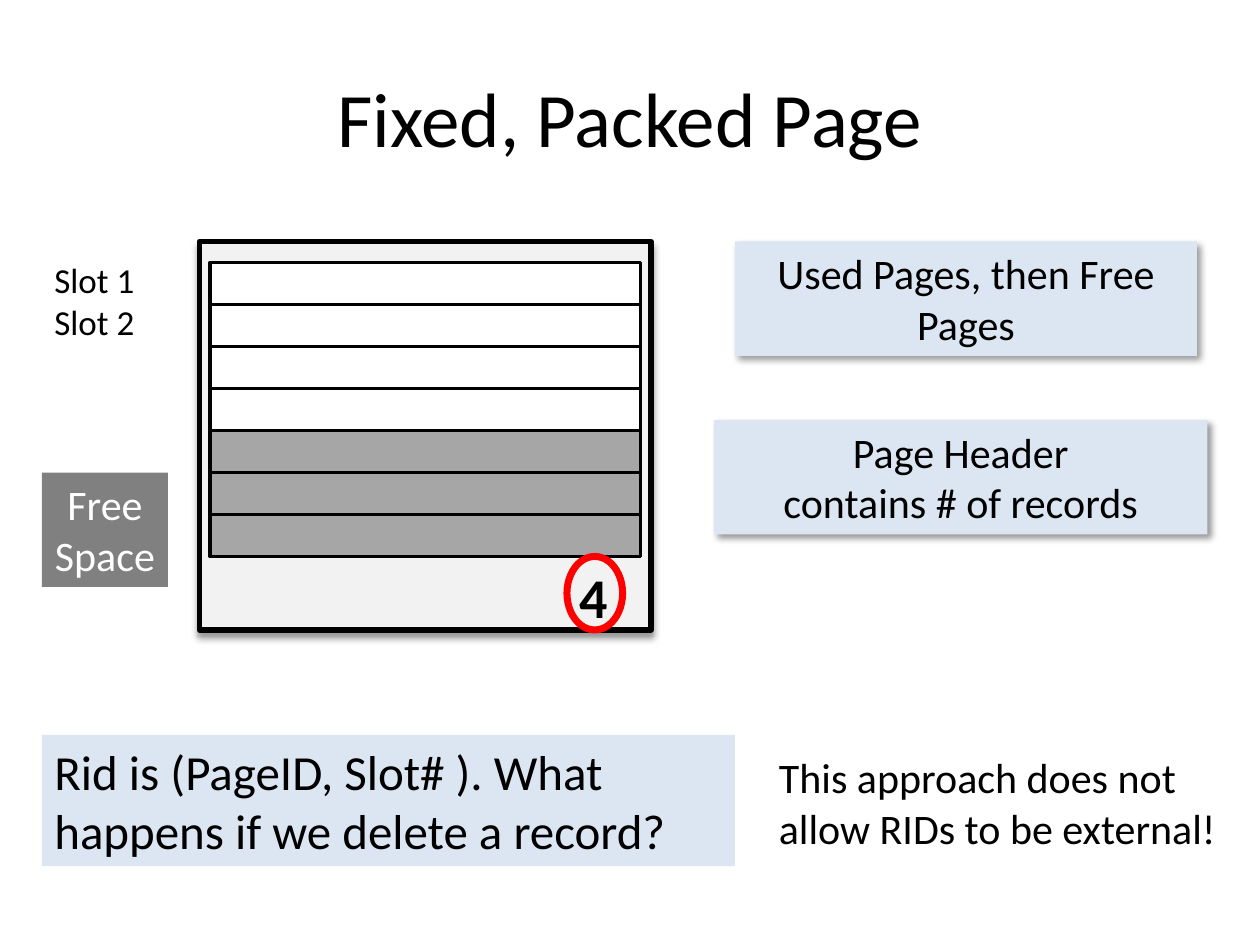
"""Build the slide on fixed, packed pages, laid out on a grid of 120 columns and 90 rows."""
from dataclasses import dataclass, field
from typing import Optional

from lxml.etree import SubElement
from pptx import Presentation
from pptx.dml.color import RGBColor
from pptx.enum.shapes import MSO_SHAPE
from pptx.enum.text import MSO_ANCHOR, PP_ALIGN
from pptx.oxml.ns import qn
from pptx.util import Inches, Pt

COLUMNS, ROWS = 120, 90
BLACK, WHITE, RED = "000000", "FFFFFF", "FF0000"
PALE_BLUE, PALE_GREY, FREE_GREY, LABEL_GREY = "DCE6F2", "F2F2F2", "A6A6A6", "808080"
SLOTS, USED, SLOT_ROWS = 7, 4, 4

prs = Presentation()
prs.slide_width, prs.slide_height = Inches(10), Inches(7.5)
s = prs.slides.add_slide(prs.slide_layouts[6])


@dataclass
class Box:
    """A rectangle or ellipse, measured in grid columns and rows."""
    col: float
    row: float
    cols: float
    rows: float
    fill: Optional[str] = None
    line: Optional[str] = None
    weight: float = 0
    shadow_angle: Optional[int] = None
    kind: MSO_SHAPE = MSO_SHAPE.RECTANGLE


@dataclass
class Label:
    """Text with its format; it stands in the given box."""
    box: Box
    lines: list[str]
    font: dict = field(default_factory=dict)
    align: PP_ALIGN = PP_ALIGN.LEFT
    anchor: MSO_ANCHOR = MSO_ANCHOR.TOP


def rgb(value: str) -> RGBColor:
    """Turn a hex string into a colour."""
    return RGBColor.from_string(value)


def place(box: Box) -> tuple[int, int, int, int]:
    """Convert grid measures to slide lengths."""
    w, h = prs.slide_width / COLUMNS, prs.slide_height / ROWS
    return round(box.col * w), round(box.row * h), round(box.cols * w), round(box.rows * h)


def add_shadow(sp, angle: int) -> None:
    """Give a shape a soft black shadow."""
    effects = sp._element.spPr.find(qn("a:effectLst"))
    shadow = SubElement(effects, qn("a:outerShdw"), blurRad=str(Pt(4)), dist=str(Pt(3)),
                        dir=str(angle * 60000), rotWithShape="0")
    colour = SubElement(shadow, qn("a:srgbClr"), val=BLACK)
    SubElement(colour, qn("a:alpha"), val="40000")


def draw_box(box: Box):
    """Draw one box and return its shape."""
    if not (box.fill or box.line):
        return s.shapes.add_textbox(*place(box))
    sp = s.shapes.add_shape(box.kind, *place(box))
    sp.shadow.inherit = False
    if box.fill:
        sp.fill.solid()
        sp.fill.fore_color.rgb = rgb(box.fill)
    else:
        sp.fill.background()
    if box.line:
        sp.line.color.rgb = rgb(box.line)
        sp.line.width = Pt(box.weight)
    else:
        sp.line.fill.background()
    if box.shadow_angle is not None:
        add_shadow(sp, box.shadow_angle)
    return sp


def draw_label(label: Label) -> None:
    """Draw a box with its paragraphs."""
    tf = draw_box(label.box).text_frame
    tf.word_wrap = True
    tf.vertical_anchor = label.anchor
    font = {"name": "Calibri", "size": 24, "color": BLACK} | label.font
    for i, text in enumerate(label.lines):
        p = tf.paragraphs[0] if i == 0 else tf.add_paragraph()
        p.alignment = label.align
        r = p.add_run()
        r.text = text
        r.font.color.rgb = rgb(font["color"])
        for name, value in font.items():
            if name != "color":
                setattr(r.font, name, Pt(value) if name == "size" else value)


CENTER = PP_ALIGN.CENTER
page = Box(19, 23, 43, 37, PALE_GREY, BLACK, 3, shadow_angle=90)
slots = [Box(20, 25 + i * SLOT_ROWS, 41, SLOT_ROWS, WHITE if i < USED else FREE_GREY, BLACK, 2)
         for i in range(SLOTS)]
title = Label(Box(6, 3.6, 108, 15), ["Fixed, Packed Page"], {"size": 44}, CENTER,
              MSO_ANCHOR.MIDDLE)
count = Label(Box(52, 53, 9, 7.7), ["4"], {"size": 32, "bold": True}, CENTER)
count_ring = Box(54, 53, 5.3, 7, line=RED, weight=4, kind=MSO_SHAPE.OVAL)
slot_names = [Label(Box(4, 24 + i * SLOT_ROWS, 13, 5.3), [f"Slot {i + 1}"], {"size": 20})
              for i in range(2)]
notes = [
    Label(Box(68, 40, 47, 10.9, PALE_BLUE, shadow_angle=45),
          ["Page Header", "contains # of records"], align=CENTER),
    Label(Box(4, 45, 12, 10.9, LABEL_GREY), ["Free Space"], {"color": WHITE}, CENTER),
    Label(Box(4, 70, 66, 12.5, PALE_BLUE),
          ["Rid is (PageID, Slot# ). What happens if we delete a record?"], {"size": 28}),
    Label(Box(73, 71, 47, 10.9), ["This approach does not allow RIDs to be external!"]),
    Label(Box(70, 23, 44, 10.9, PALE_BLUE, shadow_angle=45),
          ["Used Pages, then Free Pages"], align=CENTER),
]

for item in [page, title, *slots, count, count_ring, *slot_names, *notes]:
    draw_label(item) if isinstance(item, Label) else draw_box(item)

prs.save("out.pptx")
